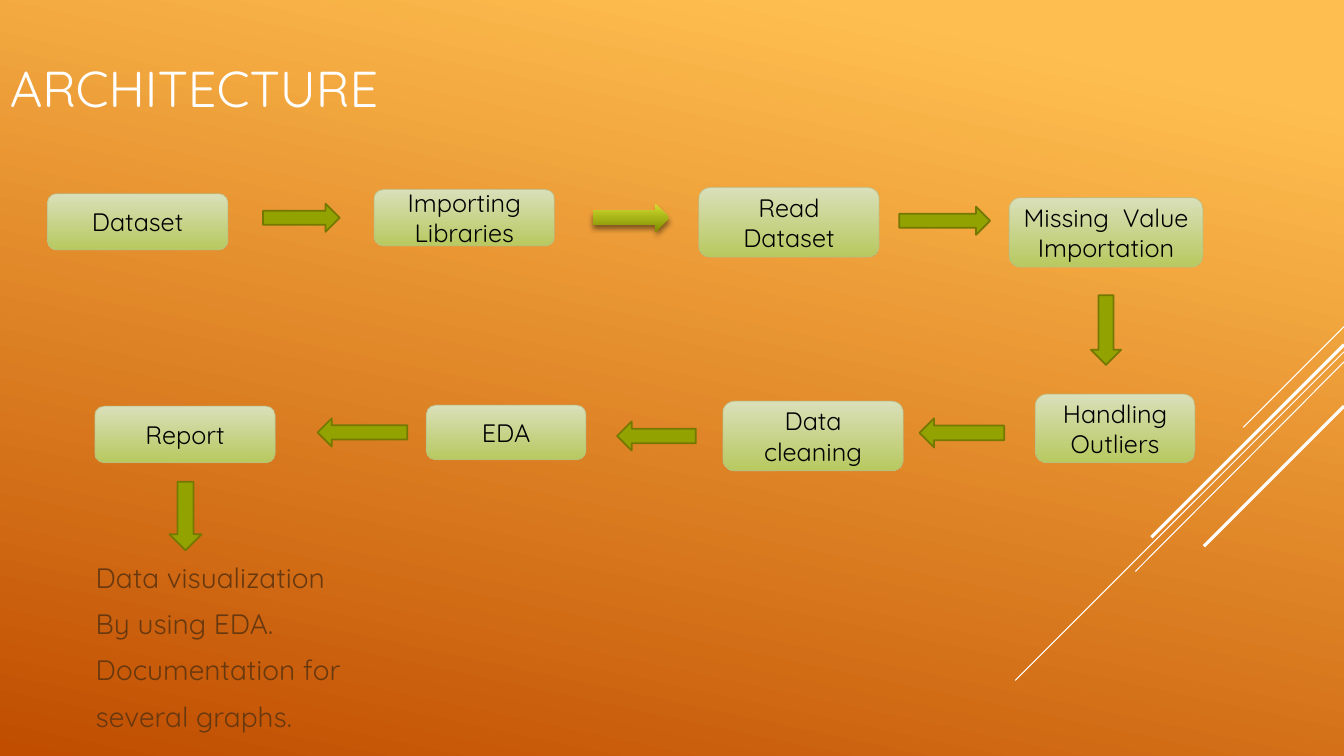
from dataclasses import dataclass

from lxml import etree
from pptx import Presentation
from pptx.dml.color import RGBColor
from pptx.dml.fill import FillFormat
from pptx.enum.shapes import MSO_CONNECTOR, MSO_SHAPE
from pptx.enum.text import MSO_ANCHOR, PP_ALIGN
from pptx.oxml.ns import qn
from pptx.shapes.autoshape import Shape
from pptx.slide import Slide
from pptx.text.text import TextFrame
from pptx.util import Inches, Pt

STRAIGHT = MSO_CONNECTOR.STRAIGHT
ROUNDED = MSO_SHAPE.ROUNDED_RECTANGLE
RIGHT, LEFT, DOWN = MSO_SHAPE.RIGHT_ARROW, MSO_SHAPE.LEFT_ARROW, MSO_SHAPE.DOWN_ARROW
MIDDLE = MSO_ANCHOR.MIDDLE
ALIGN_LEFT, ALIGN_CENTER = PP_ALIGN.LEFT, PP_ALIGN.CENTER

FONT = "Quicksand"
SLIDE_WIDTH, SLIDE_HEIGHT = 13.33, 7.5
COLORS = {
    "sky": "FFBF50", "ember": "C04D00",
    "white": "FFFFFF", "black": "000000", "brown": "68380F",
    "step_top": "DADFBA", "step_bottom": "B7C95F", "step_line": "B8BE89",
    "arrow": "92A200", "arrow_line": "747800",
    "glow_top": "D3DE30", "glow_bottom": "7D8B00",
}


@dataclass(frozen=True)
class Step:
    text: str
    left: float
    top: float
    width: float
    height: float


@dataclass(frozen=True)
class Arrow:
    kind: MSO_SHAPE
    left: float
    top: float
    width: float
    height: float
    glossy: bool = False


@dataclass(frozen=True)
class Ray:
    """A diagonal from the right slide edge, down and to the left."""
    edge_y: float
    end_x: float
    end_y: float
    weight: float = 0.75


RAYS = [
    Ray(3.24, 12.33, 4.24),
    Ray(3.49, 10.07, 6.75),
    Ray(3.59, 11.26, 5.67),
    Ray(3.42, 11.42, 5.33, 2.25),
    Ray(4.03, 11.94, 5.42, 2.25),
]
STEPS = [
    Step("Dataset", 0.47, 1.92, 1.79, 0.56),
    Step("Importing Libraries", 3.71, 1.88, 1.79, 0.56),
    Step("Read Dataset", 6.93, 1.86, 1.79, 0.69),
    Step("Missing  Value Importation", 10.01, 1.96, 1.92, 0.69),
    Step("Handling Outliers", 10.27, 3.91, 1.58, 0.68),
    Step("Data cleaning", 7.17, 3.98, 1.79, 0.69),
    Step("EDA", 4.23, 4.02, 1.58, 0.54),
    Step("Report", 0.94, 4.03, 1.79, 0.56),
]
ARROWS = [
    Arrow(RIGHT, 2.61, 2.02, 0.76, 0.28),
    Arrow(RIGHT, 5.88, 2.02, 0.76, 0.28, glossy=True),
    Arrow(RIGHT, 8.92, 2.05, 0.9, 0.28),
    Arrow(DOWN, 10.82, 2.93, 0.3, 0.69),
    Arrow(LEFT, 9.12, 4.15, 0.84, 0.29),
    Arrow(LEFT, 6.12, 4.18, 0.78, 0.29),
    Arrow(LEFT, 3.15, 4.15, 0.89, 0.28),
    Arrow(DOWN, 1.68, 4.78, 0.32, 0.68),
]
REPORT_LINES = [
    "Data visualization", "By using EDA.", "Documentation for", "several graphs.",
]


def rgb(name: str) -> RGBColor:
    return RGBColor.from_string(COLORS[name])


def fill_gradient(fill: FillFormat, first: str, last: str,
                  start: float = 0, clockwise: float = 90) -> None:
    fill.gradient()
    fill.gradient_angle = 360 - clockwise
    for stop, name, position in zip(fill.gradient_stops, (first, last), (start, 1)):
        stop.color.rgb = rgb(name)
        stop.position = position


def write_text(frame: TextFrame, lines: list[str], *, size: float, color: str,
               align: PP_ALIGN = ALIGN_LEFT, before: float = 0, after: float = 0) -> None:
    frame.word_wrap = True
    frame.vertical_anchor = MIDDLE
    for index, line in enumerate(lines):
        para = frame.paragraphs[0] if index == 0 else frame.add_paragraph()
        para.alignment = align
        para.space_before, para.space_after = Pt(before), Pt(after)
        span = para.add_run()
        span.text = line
        span.font.name, span.font.size = FONT, Pt(size)
        span.font.color.rgb = rgb(color)


def add_text_box(page: Slide, left: float, top: float, width: float,
                 height: float) -> TextFrame:
    return page.shapes.add_textbox(
        Inches(left), Inches(top), Inches(width), Inches(height)).text_frame


def add_block(page: Slide, kind: MSO_SHAPE, place: Step | Arrow) -> Shape:
    """Add a preset shape without the theme's shadow."""
    block = page.shapes.add_shape(kind, Inches(place.left), Inches(place.top),
                                  Inches(place.width), Inches(place.height))
    block.shadow.inherit = False
    return block


def draw_ray(page: Slide, ray: Ray) -> None:
    line = page.shapes.add_connector(STRAIGHT, Inches(SLIDE_WIDTH), Inches(ray.edge_y),
                                     Inches(ray.end_x), Inches(ray.end_y))
    line.line.color.rgb = rgb("white")
    line.line.width = Pt(ray.weight)
    etree.SubElement(line._element.spPr, qn("a:effectLst"))


def draw_step(page: Slide, step: Step) -> None:
    box = add_block(page, ROUNDED, step)
    fill_gradient(box.fill, "step_top", "step_bottom")
    box.line.color.rgb = rgb("step_line")
    box.line.width = Pt(0.75)
    line_color = box._element.spPr.find(
        "/".join(qn(tag) for tag in ("a:ln", "a:solidFill", "a:srgbClr")))
    etree.SubElement(line_color, qn("a:alpha"), val="60000")
    write_text(box.text_frame, [step.text], size=18, color="black", align=ALIGN_CENTER)


def cast_shadow(block: Shape) -> None:
    effects = block._element.spPr.find(qn("a:effectLst"))
    shadow = etree.SubElement(effects, qn("a:outerShdw"), blurRad=str(Pt(4)),
                              dist=str(Pt(3)), dir="5400000", rotWithShape="0")
    color = etree.SubElement(shadow, qn("a:srgbClr"), val=COLORS["black"])
    etree.SubElement(color, qn("a:alpha"), val="46000")


def draw_arrow(page: Slide, arrow: Arrow) -> None:
    block = add_block(page, arrow.kind, arrow)
    if arrow.glossy:
        fill_gradient(block.fill, "glow_top", "glow_bottom")
        block.line.fill.background()
        cast_shadow(block)
    else:
        block.fill.solid()
        block.fill.fore_color.rgb = rgb("arrow")
        block.line.color.rgb = rgb("arrow_line")
        block.line.width = Pt(1.25)


def main() -> None:
    deck = Presentation()
    deck.slide_width, deck.slide_height = Inches(SLIDE_WIDTH), Inches(SLIDE_HEIGHT)
    page = deck.slides.add_slide(deck.slide_layouts[6])
    fill_gradient(page.background.fill, "sky", "ember", start=0.1, clockwise=102)

    for ray in RAYS:
        draw_ray(page, ray)
    write_text(add_text_box(page, 0, 0.35, 4.36, 1.03), ["ARCHITECTURE"],
               size=36, color="white")
    report = add_text_box(page, 0.81, 5.51, 3.66, 1.81)
    report.margin_left = Inches(0.14)
    write_text(report, REPORT_LINES, size=20, color="brown", before=3, after=6)
    for step in STEPS:
        draw_step(page, step)
    for arrow in ARROWS:
        draw_arrow(page, arrow)

    deck.save("out.pptx")


if __name__ == "__main__":
    main()
